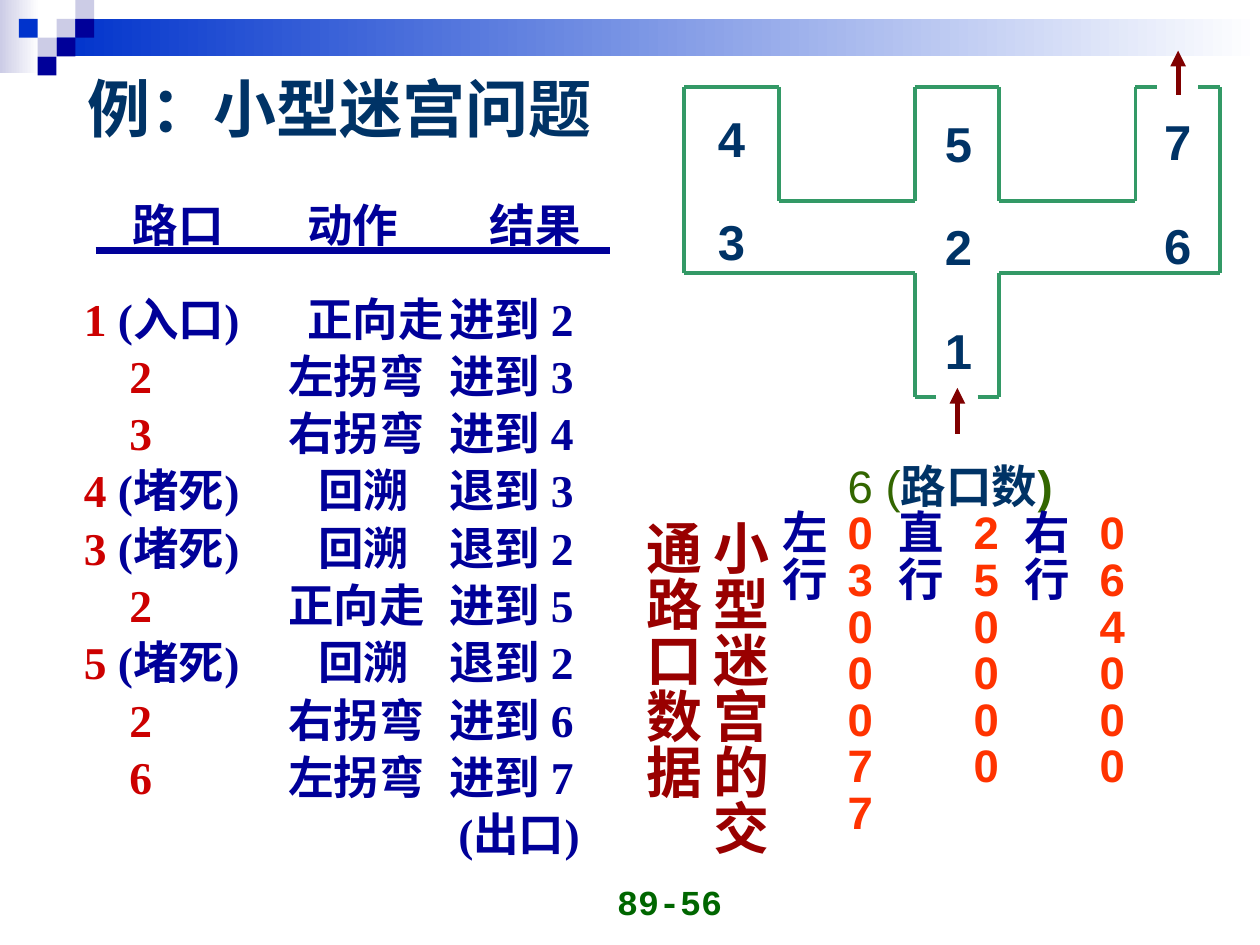
"""Build the slide on the small maze problem."""
from lxml import etree
from pptx import Presentation
from pptx.dml.color import RGBColor
from pptx.enum.shapes import MSO_CONNECTOR, MSO_SHAPE
from pptx.enum.text import MSO_ANCHOR, MSO_AUTO_SIZE, PP_ALIGN
from pptx.oxml.ns import qn
from pptx.util import Cm, Pt

STRAIGHT = MSO_CONNECTOR.STRAIGHT
RECTANGLE = MSO_SHAPE.RECTANGLE
MIDDLE, BOTTOM = MSO_ANCHOR.MIDDLE, MSO_ANCHOR.BOTTOM
LEFT, RIGHT = PP_ALIGN.LEFT, PP_ALIGN.RIGHT
NO_FIT = MSO_AUTO_SIZE.NONE


class Theme:
    navy, blue, lilac, white = "000099", "0033CC", "CCCCE6", "FFFFFF"
    ink, wall, arrow = "003366", "339966", "800000"
    crossing, data, count, caption, page = "CC0000", "FF3300", "336600", "990000", "006600"
    serif, sans, mono, cjk = "Times New Roman", "Arial", "Courier New", "Noto Sans CJK SC"
    title_size, caption_size, maze_size, body_size, page_size = 36, 32, 28, 26, 20


def add_frame(left, top, width, height):
    frame = slide.shapes.add_textbox(Cm(left), Cm(top), Cm(width), Cm(height)).text_frame
    frame.word_wrap = True
    return frame


def write(paragraph, pieces, size, font, stops=()):
    if stops:
        tab_list = etree.SubElement(paragraph._p.get_or_add_pPr(), qn("a:tabLst"))
        for stop in stops:
            etree.SubElement(tab_list, qn("a:tab"), pos=str(Cm(stop)), algn="l")
    for text, color, bold in pieces:
        run = paragraph.add_run()
        run.text = text
        run.font.size, run.font.bold, run.font.name = Pt(size), bold, font
        run.font.color.rgb = RGBColor.from_string(color)
        etree.SubElement(run._r.get_or_add_rPr(), qn("a:ea"), typeface=Theme.cjk)


deck = Presentation()
deck.slide_width, deck.slide_height = Cm(25.4), Cm(19.05)
slide = deck.slides.add_slide(deck.slide_layouts[5])

tile = 0.38
bands = [(0, 0, 0.79, 1.47, Theme.lilac), (1.14, tile, 24.26, 0.76, Theme.blue)]
tiles = [(3, 1, Theme.lilac), (4, 0, Theme.lilac), (4, 1, Theme.navy), (2, 2, Theme.lilac),
         (1, 1, Theme.blue), (3, 2, Theme.navy), (2, 3, Theme.navy)]
blocks = [(*band, True) for band in bands]
blocks += [(col * tile, row * tile, tile, tile, color, False) for col, row, color in tiles]
for left, top, width, height, color, fades in blocks:
    block = slide.shapes.add_shape(RECTANGLE, Cm(left), Cm(top), Cm(width), Cm(height))
    block.shadow.inherit = False
    block.line.fill.background()
    if fades:
        block.fill.gradient()
        block.fill.gradient_angle = 0
        for stop, shade in zip(block.fill.gradient_stops, (color, Theme.white)):
            stop.color.rgb = RGBColor.from_string(shade)
    else:
        block.fill.solid()
        block.fill.fore_color.rgb = RGBColor.from_string(color)

title = slide.shapes.title
title.left, title.top, title.width, title.height = Cm(1.5), Cm(1.12), Cm(22.86), Cm(2.1)
heading = title.text_frame
heading.auto_size, heading.vertical_anchor = NO_FIT, MIDDLE
heading.paragraphs[0].alignment = LEFT
write(heading.paragraphs[0], [("例：小型迷宫问题", Theme.ink, True)], Theme.title_size, Theme.sans)

left_wall = [(18.87, 8), (18.44, 8), (18.44, 5.51), (13.79, 5.51), (13.79, 1.75), (15.7, 1.75),
             (15.7, 4.06), (18.44, 4.06), (18.44, 1.75), (20.14, 1.75), (20.14, 4.06),
             (22.89, 4.06), (22.89, 1.75), (23.32, 1.75)]
right_wall = [(19.71, 8), (20.14, 8), (20.14, 5.51), (24.59, 5.51), (24.59, 1.75), (24.16, 1.75)]
lines = [(start, end, Theme.wall, 2.25, False)
         for wall in (left_wall, right_wall) for start, end in zip(wall, wall[1:])]
lines += [((19.3, 8.74), (19.3, 7.82), Theme.arrow, 3, True),
          ((23.75, 1.91), (23.75, 1.02), Theme.arrow, 3, True),
          ((1.93, 5.05), (12.29, 5.05), Theme.navy, 4.5, False)]
for start, end, color, width, pointed in lines:
    line = slide.shapes.add_connector(STRAIGHT, *map(Cm, start + end))
    line.line.color.rgb = RGBColor.from_string(color)
    line.line.width = Pt(width)
    if pointed:
        etree.SubElement(line.line._get_or_add_ln(), qn("a:tailEnd"), type="triangle")
    etree.SubElement(line._element.spPr, qn("a:effectLst"))

for left, top, numbers in [(14.22, 2.06, "43"), (18.8, 2.16, "521"), (23.22, 2.13, "76")]:
    corridor = add_frame(left, top, 1.07, 1.4 + 2 * (len(numbers) - 1))
    for index, number in enumerate(numbers):
        paragraph = corridor.add_paragraph() if index else corridor.paragraphs[0]
        write(paragraph, [(number, Theme.ink, True)], Theme.maze_size, Theme.sans)
        if index:
            paragraph.space_before = Pt(25.5)

result_stop = 7.62
step_stops = {"entry": (0.25, 4.75, result_stop), "open": (1.17, 4.37, result_stop),
              "blocked": (0.25, 4.98, result_stop)}
steps = [("entry", "1", " (入口)", "正向走", "进到 2"), ("open", "2", "", "左拐弯", "进到 3"),
         ("open", "3", "", "右拐弯", "进到 4"), ("blocked", "4", " (堵死)", "回溯", "退到 3"),
         ("blocked", "3", " (堵死)", "回溯", "退到 2"), ("open", "2", "", "正向走", "进到 5"),
         ("blocked", "5", " (堵死)", "回溯", "退到 2"), ("open", "2", "", "右拐弯", "进到 6"),
         ("open", "6", "", "左拐弯", "进到 7")]
trace = [([("\t路口\t动作\t结果", Theme.navy, True)], (1.24, 4.75, 8.43))]
for kind, crossing, note, action, result in steps:
    trace.append(([("\t" + crossing, Theme.crossing, True),
                   (f"{note}\t{action}\t{result}", Theme.navy, True)], step_stops[kind]))
trace.append(([("\t(出口)", Theme.navy, True)], (7.8,)))
walk = add_frame(1.19, 3.8, 12.27, 14.4)
for index, (pieces, stops) in enumerate(trace):
    paragraph = walk.add_paragraph() if index else walk.paragraphs[0]
    write(paragraph, pieces, Theme.body_size, Theme.serif, stops)
    paragraph.line_spacing = Pt(32.75)
    if index == 1:
        paragraph.space_before = Pt(20.5)

data_stops = (0.23, 1.55, 2.57, 4.09, 5.11, 6.63)
crossings = [("左直右", "020"), ("行行行", "356"), ("", "004"), ("", "000"), ("", "000"),
             ("", "700"), ("", "7")]
data_rows = [[("\t\t6 (", Theme.count, False), ("路口数", Theme.ink, True),
              (")", Theme.count, True)]]
for labels, values in crossings:
    row = []
    for index, value in enumerate(values):
        row += [("\t" + labels[index:index + 1], Theme.navy, True), ("\t" + value, Theme.data, True)]
    data_rows.append(row)
table = add_frame(15.29, 9.27, 8.89, 8)
for index, pieces in enumerate(data_rows):
    paragraph = table.add_paragraph() if index else table.paragraphs[0]
    write(paragraph, pieces, Theme.body_size, Theme.sans, data_stops)
    paragraph.line_spacing = Pt(26.6)

caption = add_frame(12.52, 10.24, 3.2, 7.3)
caption.margin_left = caption.margin_right = Cm(0.13)
caption.margin_top = caption.margin_bottom = Cm(0.25)
caption._txBody.bodyPr.set("vert", "eaVert")
write(caption.paragraphs[0], [("小型迷宫的交通路口数据", Theme.caption, True)],
      Theme.caption_size, Theme.cjk)
caption.paragraphs[0].line_spacing = Pt(38.4)

page = add_frame(8.89, 17.45, 5.92, 1.27)
page.vertical_anchor = BOTTOM
page.paragraphs[0].alignment = RIGHT
write(page.paragraphs[0], [("89-56", Theme.page, True)], Theme.page_size, Theme.mono)

deck.save("out.pptx")
